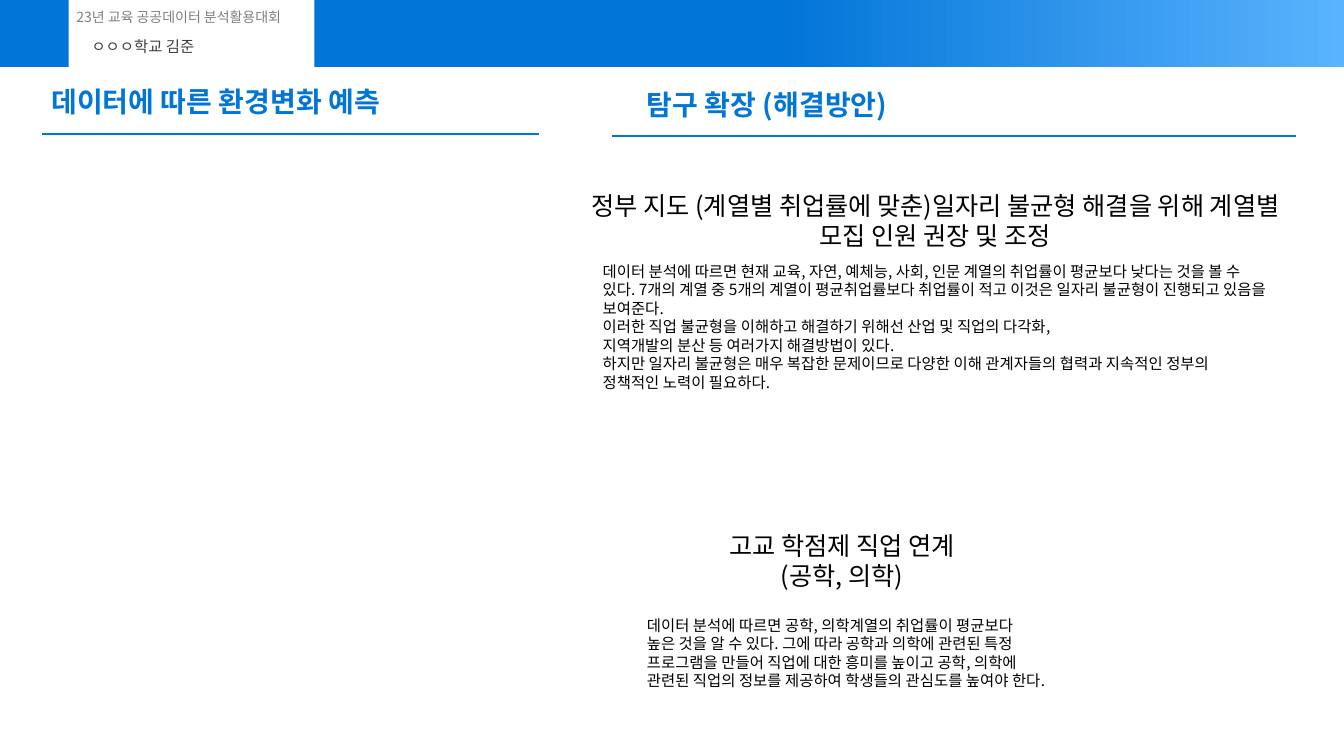
from lxml.etree import SubElement
from pptx import Presentation
from pptx.dml.color import RGBColor
from pptx.enum.shapes import MSO_CONNECTOR, MSO_SHAPE
from pptx.enum.text import MSO_ANCHOR, MSO_AUTO_SIZE, PP_ALIGN
from pptx.oxml.ns import qn
from pptx.util import Pt

FONT = "Noto Sans CJK KR"
COLORS = {
    "blue": "0275D8", "sky": "59B3FD", "white": "FFFFFF",
    "gray": "808080", "dark": "404040", "black": "000000",
}
HEADING = {"size": Pt(20), "bold": True}
SUBHEADING = {"size": Pt(18), "bold": False}
BODY = {"size": Pt(11), "bold": False}
SMALL = {"size": Pt(10), "bold": False}


def color(name):
    return RGBColor.from_string(COLORS[name])


def write(box, place, lines, style, ink, align=PP_ALIGN.LEFT, wrap=True):
    box.left, box.top, box.width, box.height = [Pt(value) for value in place]
    frame = box.text_frame
    frame.text = "\n".join(lines)
    frame.word_wrap = wrap
    frame.auto_size = MSO_AUTO_SIZE.SHAPE_TO_FIT_TEXT
    frame.vertical_anchor = MSO_ANCHOR.TOP
    for para in frame.paragraphs:
        para.alignment = align
        for span in para.runs:
            for name, value in {**style, "name": FONT}.items():
                setattr(span.font, name, value)
            span.font.color.rgb = color(ink)
            # Korean letters take the East Asian typeface
            SubElement(span.font._element, qn("a:ea"), typeface=FONT)


deck = Presentation()
deck.slide_width, deck.slide_height = Pt(960), Pt(540)
page = deck.slides.add_slide(deck.slide_layouts[5])

# Header band with its white name panel
band, panel = [
    page.shapes.add_shape(MSO_SHAPE.RECTANGLE, Pt(left), 0, Pt(width), Pt(48))
    for left, width in ((0, 960), (49, 175.5))
]
for shape in (band, panel):
    shape.shadow.inherit = False
    shape.line.fill.background()
panel.fill.solid()
panel.fill.fore_color.rgb = color("white")
band.fill.gradient()
band.fill.gradient_angle = 0
for stop, position, name in zip(band.fill.gradient_stops, (0.58, 1), ("blue", "sky")):
    stop.position = position
    stop.color.rgb = color(name)

# Left heading
write(page.shapes.title, (29.5, 56.9, 285, 31.5), ["데이터에 따른 환경변화 예측"],
      HEADING, "blue", wrap=False)

# Header labels, right heading and the two proposals
texts = [
    ((47.5, 2.9, 178, 19.4), ["23년 교육 공공데이터 분석활용대회"],
     SMALL, "gray", PP_ALIGN.LEFT, False),
    ((58.3, 23, 96.5, 20.6), ["ㅇㅇㅇ학교 김준"], BODY, "dark", PP_ALIGN.LEFT, False),
    ((455, 59, 204.5, 31.5), ["탐구 확장 (해결방안)"],
     HEADING, "blue", PP_ALIGN.LEFT, False),
    ((410.4, 132.5, 515.5, 51),
     ["정부 지도 (계열별 취업률에 맞춘)일자리 불균형 해결을 위해 계열별 모집 인원 권장 및 조정"],
     SUBHEADING, "black", PP_ALIGN.CENTER, True),
    ((423.4, 183.6, 489.6, 113.8),
     ["데이터 분석에 따르면 현재 교육, 자연, 예체능, 사회, 인문 계열의 취업률이 평균보다 낮다는 것을 볼 수 있다. "
      "7개의 계열 중 5개의 계열이 평균취업률보다 취업률이 적고 이것은 일자리 불균형이 진행되고 있음을 보여준다.",
      "이러한 직업 불균형을 이해하고 해결하기 위해선 산업 및 직업의 다각화,",
      "지역개발의 분산 등 여러가지 해결방법이 있다.",
      "하지만 일자리 불균형은 매우 복잡한 문제이므로 다양한 이해 관계자들의 협력과 지속적인 정부의 "
      "정책적인 노력이 필요하다."],
     BODY, "black", PP_ALIGN.LEFT, True),
    ((443.5, 375, 316, 51), ["고교 학점제 직업 연계", "(공학, 의학)"],
     SUBHEADING, "black", PP_ALIGN.CENTER, True),
    ((455, 436.3, 332.6, 60.5),
     ["데이터 분석에 따르면 공학, 의학계열의 취업률이 평균보다",
      "높은 것을 알 수 있다. 그에 따라 공학과 의학에 관련된 특정",
      "프로그램을 만들어 직업에 대한 흥미를 높이고 공학, 의학에",
      "관련된 직업의 정보를 제공하여 학생들의 관심도를 높여야 한다."],
     BODY, "black", PP_ALIGN.LEFT, True),
]
for place, lines, style, ink, align, wrap in texts:
    box = page.shapes.add_textbox(0, 0, 0, 0)
    write(box, place, lines, style, ink, align, wrap)

# Rules under the headings
for start, end, height in ((30.2, 385.2, 95.6), (437, 926, 97.2)):
    rule = page.shapes.add_connector(
        MSO_CONNECTOR.STRAIGHT, Pt(start), Pt(height), Pt(end), Pt(height))
    rule.line.color.rgb = color("blue")
    rule.line.width = Pt(1.5)
    SubElement(rule._element.spPr, qn("a:effectLst"))

deck.save("out.pptx")
